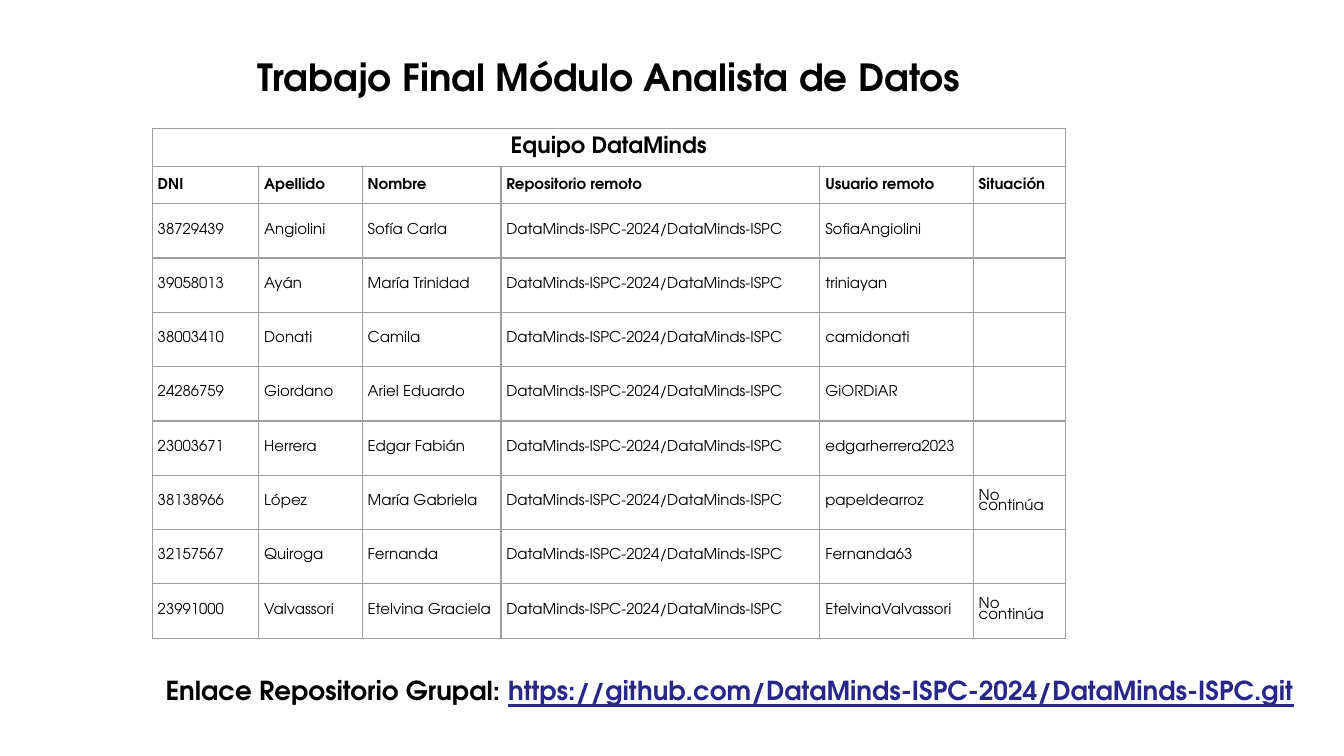
from lxml.etree import SubElement
from pptx import Presentation
from pptx.dml.color import RGBColor
from pptx.enum.text import MSO_ANCHOR, MSO_AUTO_SIZE, PP_ALIGN
from pptx.oxml import parse_xml
from pptx.oxml.ns import nsdecls
from pptx.util import Pt

FONT = "TeX Gyre Adventor"
BLACK = RGBColor(0x00, 0x00, 0x00)
LINK_BLUE = RGBColor(0x27, 0x27, 0x8B)
GRID_GRAY = RGBColor(0x9E, 0x9E, 0x9E)

REPOSITORY = "DataMinds-ISPC-2024/DataMinds-ISPC"
HEADERS = ["DNI", "Apellido", "Nombre", "Repositorio remoto", "Usuario remoto", "Situación"]
MEMBERS = [
    ("38729439", "Angiolini", "Sofía Carla", "SofiaAngiolini", ""),
    ("39058013", "Ayán", "María Trinidad", "triniayan", ""),
    ("38003410", "Donati", "Camila", "camidonati", ""),
    ("24286759", "Giordano", "Ariel Eduardo", "GiORDiAR", ""),
    ("23003671", "Herrera", "Edgar Fabián", "edgarherrera2023", ""),
    ("38138966", "López", "María Gabriela", "papeldearroz", "No continúa"),
    ("32157567", "Quiroga", "Fernanda", "Fernanda63", ""),
    ("23991000", "Valvassori", "Etelvina Graciela", "EtelvinaValvassori", "No continúa"),
]
COLUMN_WIDTHS = [57, 55.5, 74.3, 170.9, 82.2, 49.4]
HEADER_HEIGHT = 20.1
MEMBER_HEIGHT = 29.1
LEFT = 81.6


def add_run(paragraph, text, size, bold=True, color=BLACK):
    run = paragraph.add_run()
    run.text = text
    run.font.name = FONT
    run.font.size = Pt(size)
    run.font.bold = bold
    run.font.color.rgb = color
    return run


def format_cell(cell):
    cell.fill.background()
    cell.vertical_anchor = MSO_ANCHOR.MIDDLE
    cell.margin_left = cell.margin_right = Pt(2.9)
    cell.margin_top = cell.margin_bottom = Pt(0)
    properties = cell._tc.get_or_add_tcPr()
    for position, side in enumerate(["lnL", "lnR", "lnT", "lnB"]):
        border = parse_xml(f'<a:{side} {nsdecls("a")} w="{Pt(0.75)}"><a:solidFill>'
                           f'<a:srgbClr val="{GRID_GRAY}"/></a:solidFill></a:{side}>')
        properties.insert(position, border)


presentation = Presentation()
presentation.slide_width = Pt(720)
presentation.slide_height = Pt(405)
slide = presentation.slides.add_slide(presentation.slide_layouts[5])

rows = [["Equipo DataMinds"] + [""] * 5, HEADERS]
for *identity, user, status in MEMBERS:
    rows.append([*identity, REPOSITORY, user, status])
table_height = 2 * HEADER_HEIGHT + len(MEMBERS) * MEMBER_HEIGHT
table = slide.shapes.add_table(len(rows), len(HEADERS), Pt(LEFT), Pt(69),
                               Pt(sum(COLUMN_WIDTHS)), Pt(table_height)).table
table.first_row = False
table.horz_banding = False
for column, width in zip(table.columns, COLUMN_WIDTHS):
    column.width = Pt(width)
table.cell(0, 0).merge(table.cell(0, len(HEADERS) - 1))
for row_index, row in enumerate(rows):
    is_header = row_index < 2
    table.rows[row_index].height = Pt(HEADER_HEIGHT if is_header else MEMBER_HEIGHT)
    for column_index, text in enumerate(row):
        cell = table.cell(row_index, column_index)
        format_cell(cell)
        paragraph = cell.text_frame.paragraphs[0]
        paragraph.font.size = Pt(8)
        if row_index == 0:
            paragraph.alignment = PP_ALIGN.CENTER
        if not is_header:
            paragraph.line_spacing = 0.75
        if text:
            add_run(paragraph, text, 12 if row_index == 0 else 8, is_header)

title = slide.shapes.title
title.left, title.top, title.width, title.height = Pt(LEFT), Pt(21.6), Pt(489.6), Pt(38.9)
footer = slide.shapes.add_textbox(Pt(LEFT), Pt(354.2), Pt(633.6), Pt(31.7))
for shape in (title, footer):
    frame = shape.text_frame
    frame.word_wrap = True
    frame.auto_size = MSO_AUTO_SIZE.SHAPE_TO_FIT_TEXT
    frame.vertical_anchor = MSO_ANCHOR.TOP
    frame.margin_left = frame.margin_right = Pt(7.2)
    frame.margin_top = frame.margin_bottom = Pt(7.2)

heading = title.text_frame.paragraphs[0]
heading.alignment = PP_ALIGN.CENTER
add_run(heading, "Trabajo Final Módulo Analista de Datos", 20)

link_line = footer.text_frame.paragraphs[0]
add_run(link_line, "Enlace Repositorio Grupal: ", 14)
link = add_run(link_line, "https://github.com/DataMinds-ISPC-2024/DataMinds-ISPC.git", 14, color=LINK_BLUE)
link.font.underline = True

presentation.save("out.pptx")
